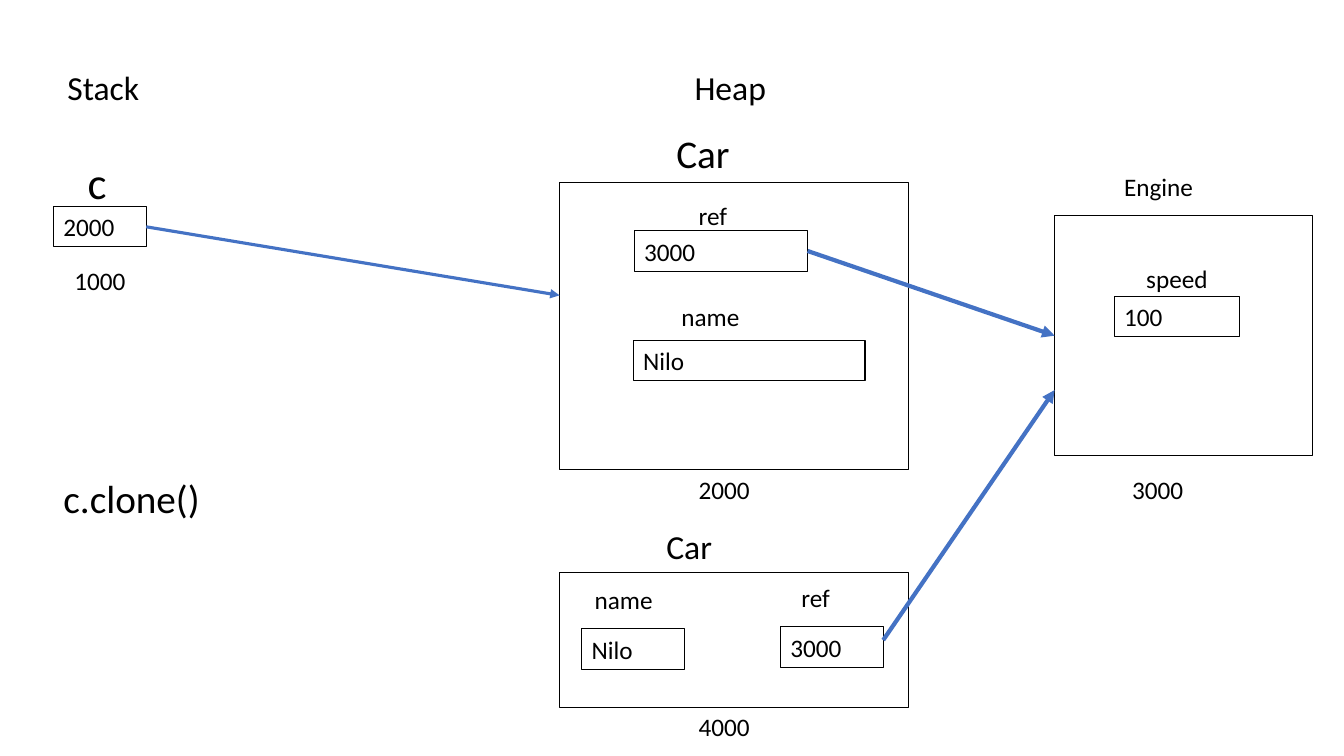
import pptx
import pptx.util
import pptx.dml.color
import pptx.enum.shapes
import pptx.enum.text
import lxml.etree
import pptx.oxml.ns

PX = 9144  # EMU in one px, 100 px to the inch
FONT = "Calibri"
BLACK = pptx.dml.color.RGBColor(0, 0, 0)
BLUE = pptx.dml.color.RGBColor(0x44, 0x72, 0xC4)
HIGH = {18: 40, 24: 50, 28: 57, 32: 64}  # box height for each text size


def scale(*nums):
    return [pptx.util.Emu(num * PX) for num in nums]


def write(shape, text, size):
    frame = shape.text_frame
    frame.word_wrap = True
    frame.text = text
    para = frame.paragraphs[0]
    para.alignment = pptx.enum.text.PP_ALIGN.LEFT
    font = para.runs[0].font
    font.name = FONT
    font.size = pptx.util.Pt(size)
    font.color.rgb = BLACK


def label(slide, x, y, wide, text, size=18):
    shape = slide.shapes.add_textbox(*scale(x, y, wide, HIGH[size]))
    write(shape, text, size)


def frame(slide, x, y, wide, high):
    kind = pptx.enum.shapes.MSO_SHAPE.RECTANGLE
    shape = slide.shapes.add_shape(kind, *scale(x, y, wide, high))
    shape.shadow.inherit = False
    shape.fill.background()
    shape.line.color.rgb = BLACK
    shape.line.width = pptx.util.Pt(0.75)
    return shape


def cell(slide, x, y, wide, text):
    shape = frame(slide, x, y, wide, HIGH[18])
    shape.text_frame.vertical_anchor = pptx.enum.text.MSO_ANCHOR.MIDDLE
    write(shape, text, 18)
    return shape


def arrow(slide, start, end, width):
    kind = pptx.enum.shapes.MSO_CONNECTOR.STRAIGHT
    line = slide.shapes.add_connector(kind, *scale(*start, *end))
    line.line.color.rgb = BLUE
    line.line.width = pptx.util.Pt(width)
    qn = pptx.oxml.ns.qn
    head = lxml.etree.SubElement(line.line._get_or_add_ln(), qn("a:tailEnd"))
    head.set("type", "triangle")
    lxml.etree.SubElement(line._element.spPr, qn("a:effectLst"))
    return line


def stack(slide, x, y):
    label(slide, x + 4, y, 168, "Stack", 24)
    label(slide, x + 24, y + 88, 83, "c", 32)
    label(slide, x + 11, y + 197, 81, "1000")
    label(slide, x, y + 405, 158, "c.clone()", 28)
    return cell(slide, x, y + 144, 92, "2000")


def first(slide, x, y, wide, high):
    frame(slide, x, y, wide, high)
    label(slide, x + 106, y - 58, 155, "Car", 28)
    label(slide, x + 128, y + 13, 91, "ref")
    label(slide, x + 111, y + 113, 107, "name")
    cell(slide, x + 73, y + 157, 230, "Nilo")
    label(slide, x + 128, y + high, 122, "2000")
    return cell(slide, x + 74, y + 48, 172, "3000")


def clone(slide, x, y, wide, high):
    frame(slide, x, y, wide, high)
    label(slide, x + 96, y - 51, 122, "Car", 24)
    label(slide, x + 25, y + 7, 100, "name")
    cell(slide, x + 22, y + 56, 102, "Nilo")
    label(slide, x + 230, y + 5, 90, "ref")
    cell(slide, x + 219, y + 54, 102, "3000")
    label(slide, x + 128, y + high - 1, 122, "4000")


def engine(slide, x, y, wide, high):
    box = frame(slide, x, y, wide, high)
    label(slide, x + 59, y - 49, 112, "Engine")
    label(slide, x + 81, y + 42, 93, "speed")
    cell(slide, x + 59, y + 80, 124, "100")
    label(slide, x + 67, y + high + 14, 137, "3000")
    return box


def main():
    deck = pptx.Presentation()
    deck.slide_width, deck.slide_height = scale(1333, 750)
    slide = deck.slides.add_slide(deck.slide_layouts[6])

    # Stack and heap
    var = stack(slide, 53, 61)
    label(slide, 679, 61, 275, "Heap", 24)
    ref = first(slide, 555, 181, 346, 285)
    clone(slide, 555, 568, 346, 134)
    motor = engine(slide, 1046, 214, 256, 238)

    # References
    line = arrow(slide, (145, 225), (555, 293), 2.25)
    line.begin_connect(var, 3)
    line = arrow(slide, (801, 249), (1046, 333), 3)
    line.begin_connect(ref, 3)
    line.end_connect(motor, 1)
    arrow(slide, (876, 635), (1046, 387), 3)

    deck.save("out.pptx")


if __name__ == "__main__":
    main()
